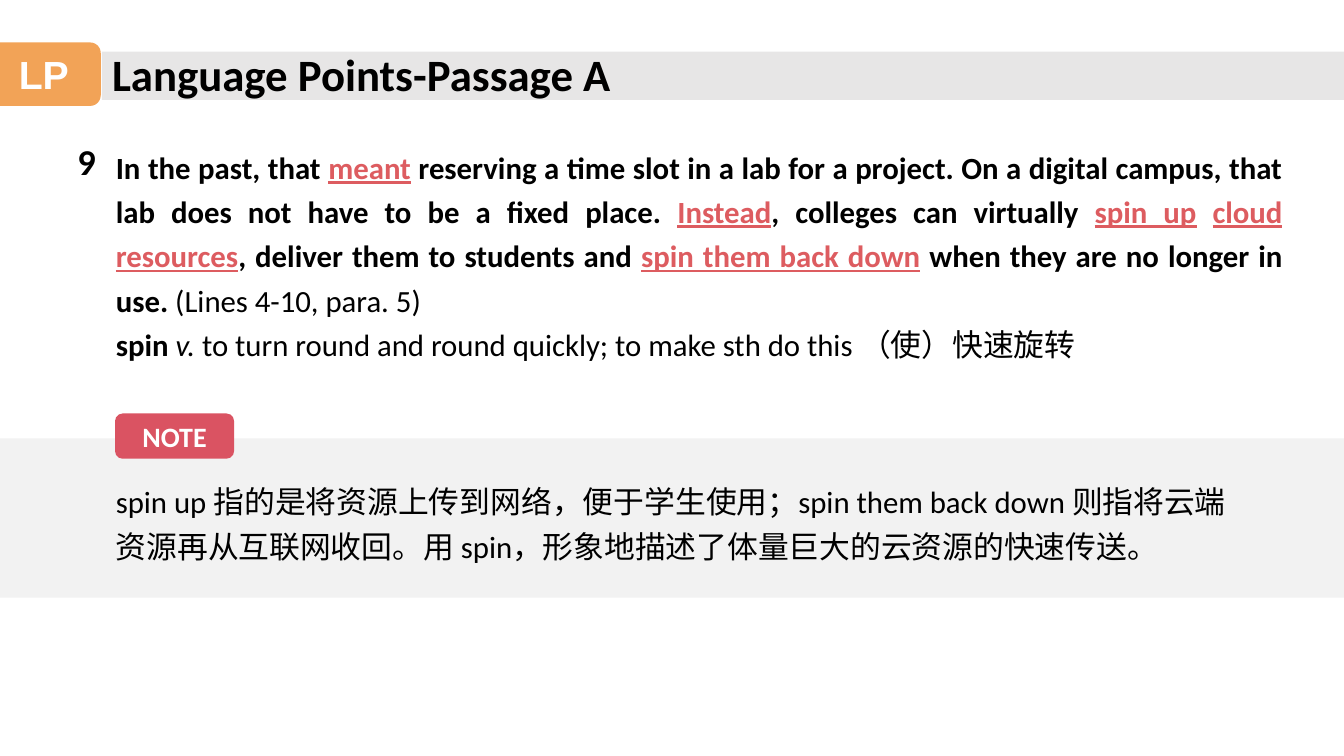
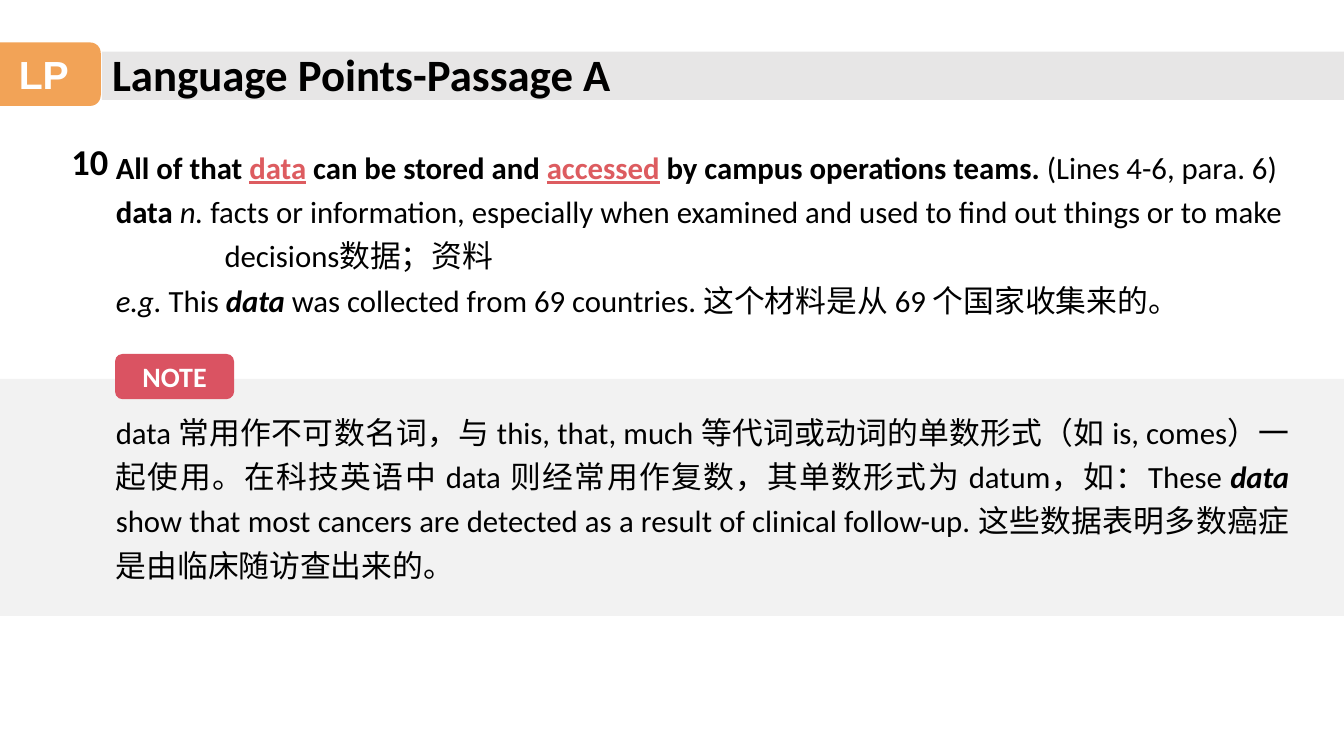
"""Build two language-point slides, each with an annotated sentence and a note."""
from pptx import Presentation
from pptx import util as u
from pptx.dml.color import RGBColor
from pptx.enum import shapes, text

BLACK = RGBColor(0x00, 0x00, 0x00)
WHITE = RGBColor(0xFF, 0xFF, 0xFF)
ORANGE = RGBColor(0xF2, 0xA3, 0x57)
RED = RGBColor(0xDA, 0x53, 0x62)
KEYWORD_RED = RGBColor(0xDD, 0x5C, 0x60)
BAR_GREY = RGBColor(0xE7, 0xE6, 0xE6)
NOTE_GREY = RGBColor(0xF2, 0xF2, 0xF2)

STYLES = {
    "plain": {},
    "bold": {"bold": True},
    "italic": {"italic": True},
    "strong": {"bold": True, "italic": True},
    "key": {"bold": True, "underline": True, "color": KEYWORD_RED},
    "title": {"bold": True, "size": u.Pt(32)},
    "number": {"bold": True, "size": u.Pt(26)},
    "tab": {"bold": True, "size": u.Pt(28), "name": "Arial", "color": WHITE},
    "badge": {"bold": True, "size": u.Pt(20), "color": WHITE},
}
BASE = {"name": "Calibri", "size": u.Pt(22), "bold": False, "italic": False, "color": BLACK}

SLIDE_WIDTH, SLIDE_HEIGHT = 33.87, 19.05
TITLE = "Language Points-Passage A"
TITLE_BOX = (2.57, 1.04, 13.61, 1.63)
TITLE_BAR = (2.57, 1.3, 31.3, 1.22)
TAB_BOX = (-0.33, 1.07, 2.87, 1.6)
TEXT_LEFT = 2.67
BADGE_LEFT, BADGE_RISE, BADGE_WIDTH, BADGE_HEIGHT = 2.9, 0.63, 3, 1.14

POINTS = [
    {
        "number": "9",
        "number_box": (1.7, 3.38, 1.19, 1.37),
        "passage_box": (TEXT_LEFT, 3.43, 29.9, 5.82),
        "passage": [
            (0, [
                ("In the past, that ", "bold"), ("meant", "key"),
                (" reserving a time slot in a lab for a project. On a digital campus, "
                 "that lab does not have to be a fixed place. ", "bold"),
                ("Instead", "key"), (", colleges can virtually ", "bold"),
                ("spin up", "key"), (" ", "bold"), ("cloud resources", "key"),
                (", deliver them to students and ", "bold"),
                ("spin them back down", "key"),
                (" when they are no longer in use. ", "bold"),
                ("(Lines 4-10, para. 5)", "plain"),
            ]),
            (0, [
                ("spin ", "bold"), ("v.", "italic"),
                (" to turn round and round quickly; to make sth do this （使）快速旋转", "plain"),
            ]),
        ],
        "band": (11.05, 4.01),
        "note_box": (TEXT_LEFT, 11.86, 28.47, 2.41),
        "note": [
            (0, [
                ("spin up 指的是将资源上传到网络，便于学生使用；spin them back down "
                 "则指将云端资源再从互联网收回。用 spin，形象地描述了体量巨大的云资源的快速传送。", "plain"),
            ]),
        ],
    },
    {
        "number": "10",
        "number_box": (1.55, 3.38, 1.6, 1.37),
        "passage_box": (TEXT_LEFT, 3.43, 29.9, 4.67),
        "passage": [
            (0, [
                ("All of that ", "bold"), ("data", "key"),
                (" can be stored and ", "bold"), ("accessed", "key"),
                (" by campus operations teams. ", "bold"),
                ("(Lines 4-6, para. 6)", "plain"),
            ]),
            (2.74, [
                ("data ", "bold"), ("n.", "italic"),
                (" facts or information, especially when examined and used to find out "
                 "things or to make decisions数据；资料", "plain"),
            ]),
            (0, [
                ("e.g.", "italic"), (" This ", "plain"), ("data", "strong"),
                (" was collected from 69 countries. 这个材料是从 69 个国家收集来的。", "plain"),
            ]),
        ],
        "band": (9.55, 5.97),
        "note_box": (TEXT_LEFT, 10.11, 30.07, 4.67),
        "note": [
            (0, [
                ("data 常用作不可数名词，与 this, that, much 等代词或动词的单数形式（如 is, comes）"
                 "一起使用。在科技英语中 data 则经常用作复数，其单数形式为 datum，如：These ", "plain"),
                ("data", "strong"),
                (" show that most cancers are detected as a result of clinical follow-up. "
                 "这些数据表明多数癌症是由临床随访查出来的。", "plain"),
            ]),
        ],
    },
]


def cm(box):
    return [u.Cm(length) for length in box]


def add_run(paragraph, words, style):
    run = paragraph.add_run()
    run.text = words
    for key, value in {**BASE, **STYLES[style]}.items():
        if key == "color":
            run.font.color.rgb = value
        else:
            setattr(run.font, key, value)


def add_panel(slide, kind, box, fill, label="", style="plain"):
    panel = slide.shapes.add_shape(kind, *cm(box))
    panel.shadow.inherit = False
    panel.fill.solid()
    panel.fill.fore_color.rgb = fill
    panel.line.fill.background()
    if label:
        frame = panel.text_frame
        frame.vertical_anchor = text.MSO_ANCHOR.MIDDLE
        frame.paragraphs[0].alignment = text.PP_ALIGN.CENTER
        add_run(frame.paragraphs[0], label, style)


def add_prose(slide, box, paragraphs):
    frame = slide.shapes.add_textbox(*cm(box)).text_frame
    frame.word_wrap = True
    for index, (hanging, runs) in enumerate(paragraphs):
        paragraph = frame.add_paragraph() if index else frame.paragraphs[0]
        paragraph.alignment = text.PP_ALIGN.JUSTIFY
        paragraph.line_spacing = 1.2
        if hanging:
            properties = paragraph._p.get_or_add_pPr()
            properties.set("marL", str(u.Cm(hanging)))
            properties.set("indent", str(-u.Cm(hanging)))
        for words, style in runs:
            add_run(paragraph, words, style)


def add_header(slide):
    add_panel(slide, shapes.MSO_SHAPE.RECTANGLE, TITLE_BAR, BAR_GREY)
    add_panel(slide, shapes.MSO_SHAPE.ROUNDED_RECTANGLE, TAB_BOX, ORANGE, "LP", "tab")
    title = slide.shapes.title
    title.left, title.top, title.width, title.height = cm(TITLE_BOX)
    frame = title.text_frame
    settings = {"word_wrap": False, "auto_size": text.MSO_AUTO_SIZE.NONE,
                "vertical_anchor": text.MSO_ANCHOR.TOP}
    for key, value in settings.items():
        setattr(frame, key, value)
    frame.paragraphs[0].alignment = text.PP_ALIGN.LEFT
    add_run(frame.paragraphs[0], TITLE, "title")
    slide.shapes.element.append(title.element)


def add_point(slide, point):
    number = slide.shapes.add_textbox(*cm(point["number_box"])).text_frame
    number.word_wrap = False
    add_run(number.paragraphs[0], point["number"], "number")
    add_prose(slide, point["passage_box"], point["passage"])
    top, height = point["band"]
    add_panel(slide, shapes.MSO_SHAPE.RECTANGLE, (0, top, SLIDE_WIDTH, height), NOTE_GREY)
    add_prose(slide, point["note_box"], point["note"])
    badge_box = (BADGE_LEFT, top - BADGE_RISE, BADGE_WIDTH, BADGE_HEIGHT)
    add_panel(slide, shapes.MSO_SHAPE.ROUNDED_RECTANGLE, badge_box, RED, "NOTE", "badge")


def main():
    deck = Presentation()
    deck.slide_width, deck.slide_height = cm((SLIDE_WIDTH, SLIDE_HEIGHT))
    title_only = deck.slide_layouts[5]
    for point in POINTS:
        slide = deck.slides.add_slide(title_only)
        add_header(slide)
        add_point(slide, point)
    deck.save("out.pptx")


if __name__ == "__main__":
    main()
